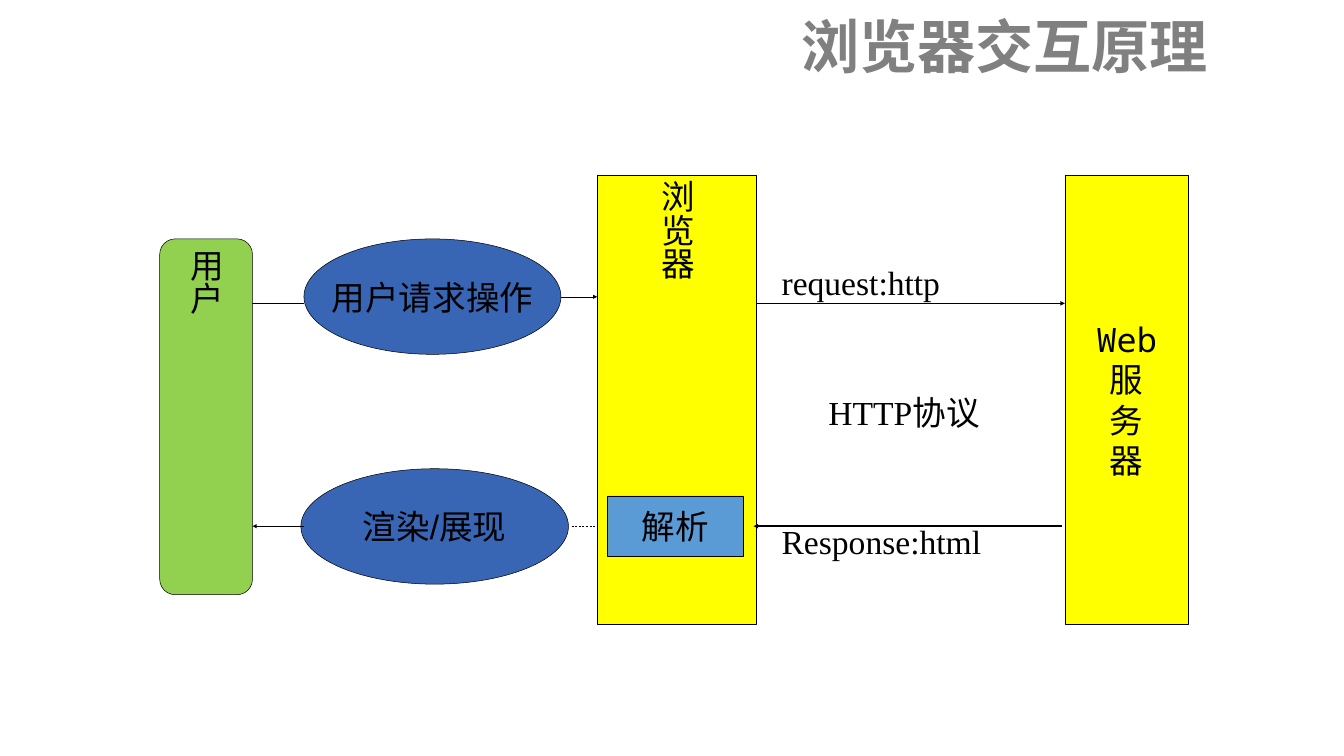
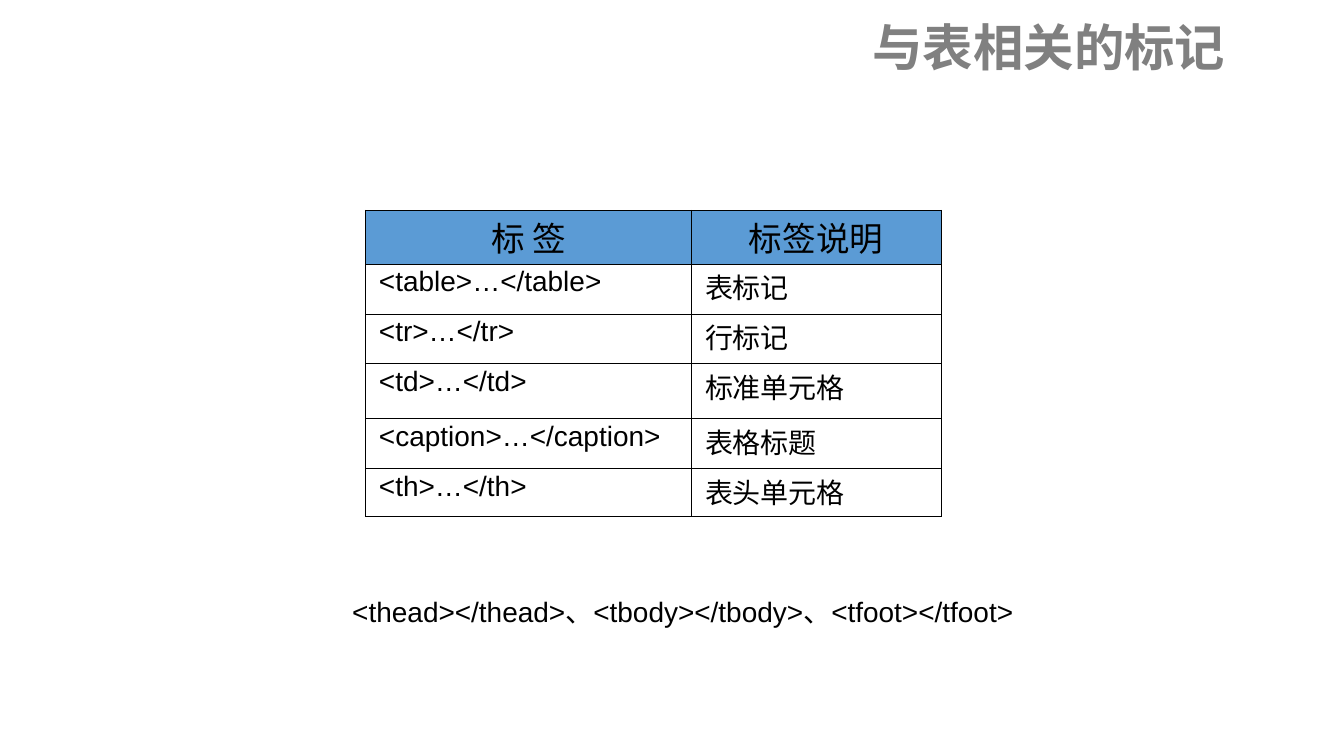
from lxml import etree
from pptx import Presentation
from pptx import util as u
from pptx.dml import color
from pptx.enum import dml, shapes, text
from pptx.oxml import ns

Pt = u.Pt
BLACK = color.RGBColor(0x00, 0x00, 0x00)
GRAY = color.RGBColor(0x80, 0x80, 0x80)
YELLOW = color.RGBColor(0xFF, 0xFF, 0x00)
GREEN = color.RGBColor(0x92, 0xD0, 0x50)
DEEP_BLUE = color.RGBColor(0x39, 0x65, 0xB5)
LIGHT_BLUE = color.RGBColor(0x5B, 0x9B, 0xD5)

SANS = "Arial"
SERIF = "Times New Roman"
MONO = "Noto Sans Mono"
CJK = "Noto Sans CJK SC"
CJK_TITLE = "Noto Sans CJK JP"

LEFT = text.PP_ALIGN.LEFT
CENTER = text.PP_ALIGN.CENTER
RIGHT = text.PP_ALIGN.RIGHT
RECT = shapes.MSO_SHAPE.RECTANGLE
OVAL = shapes.MSO_SHAPE.OVAL
ROUNDED = shapes.MSO_SHAPE.FLOWCHART_ALTERNATE_PROCESS

INSET_WIDE, INSET_NARROW = 7.2, 3.6
THIN, THICK = 0.45, 1.08


def add_element(parent, tag, **attributes):
    return etree.SubElement(parent, ns.qn(tag), attributes)


class Painter:
    def __init__(self, width, height):
        self.deck = Presentation()
        self.deck.slide_width, self.deck.slide_height = Pt(width), Pt(height)
        self.page = None

    def new_page(self, title, frame, size, font):
        self.page = self.deck.slides.add_slide(self.deck.slide_layouts[5])
        box = self.page.shapes.title
        box.left, box.top, box.width, box.height = map(Pt, frame)
        self.fill_text(box.text_frame, title, size, font, RIGHT, GRAY, True, (14.4, 7.2))
        box.text_frame.word_wrap = True
        box.text_frame.auto_size = text.MSO_AUTO_SIZE.NONE
        box.text_frame.vertical_anchor = text.MSO_ANCHOR.MIDDLE
        box.text_frame.paragraphs[0].line_spacing = 0.9

    def style(self, para, size, font, align, ink=BLACK, bold=False):
        para.alignment = align
        para.font.size, para.font.bold = Pt(size), bold
        para.font.color.rgb = ink
        para.font.name = font
        east_asian = font if font in (CJK, CJK_TITLE) else CJK
        defaults = para._p.pPr.find(ns.qn("a:defRPr"))
        add_element(defaults, "a:ea", typeface=east_asian)

    def fill_text(self, frame, words, size, font, align, ink=BLACK, bold=False,
                  insets=(INSET_WIDE, INSET_NARROW)):
        frame.margin_left = frame.margin_right = Pt(insets[0])
        frame.margin_top = frame.margin_bottom = Pt(insets[1])
        frame.word_wrap = False
        frame.text = words
        for para in frame.paragraphs:
            self.style(para, size, font, align, ink, bold)

    def block(self, kind, frame, words, fill, font=MONO, vertical=False):
        box = self.page.shapes.add_shape(kind, *map(Pt, frame))
        box.shadow.inherit = False
        box.fill.solid()
        box.fill.fore_color.rgb = fill
        box.line.color.rgb = BLACK
        box.line.width = Pt(0.75)
        insets = (INSET_NARROW, INSET_WIDE) if vertical else (INSET_WIDE, INSET_NARROW)
        self.fill_text(box.text_frame, words, 48, font, CENTER, insets=insets)
        box.text_frame.vertical_anchor = text.MSO_ANCHOR.MIDDLE
        if vertical:
            box.text_frame._txBody.bodyPr.set("vert", "eaVert")

    def label(self, frame, words, size, font):
        box = self.page.shapes.add_textbox(*map(Pt, frame))
        self.fill_text(box.text_frame, words, size, font, LEFT)
        box.text_frame.auto_size = text.MSO_AUTO_SIZE.SHAPE_TO_FIT_TEXT

    def line(self, start, end, y, width=0.75, arrow=True, dashed=False):
        link = self.page.shapes.add_connector(
            shapes.MSO_CONNECTOR.STRAIGHT, Pt(start), Pt(y), Pt(end), Pt(y))
        link.line.color.rgb = BLACK
        link.line.width = Pt(width)
        if dashed:
            link.line.dash_style = dml.MSO_LINE.DASH
        properties = link._element.spPr
        if arrow:
            add_element(properties.find(ns.qn("a:ln")), "a:tailEnd", type="triangle")
        add_element(properties, "a:effectLst")

    def border(self, cell, side, width):
        edge = add_element(cell._tc.get_or_add_tcPr(), f"a:ln{side}", w=str(Pt(width)))
        fill = add_element(edge, "a:solidFill")
        add_element(fill, "a:srgbClr", val=str(BLACK))

    def table(self, left, top, widths, heights, rows):
        frame = self.page.shapes.add_table(
            len(rows), len(widths), Pt(left), Pt(top), Pt(sum(widths)), Pt(sum(heights)))
        grid = frame.table
        grid.first_row = grid.horz_banding = False
        for column, width in zip(grid.columns, widths):
            column.width = Pt(width)
        for row, height in zip(grid.rows, heights):
            row.height = Pt(height)
        last_row, last_column = len(rows) - 1, len(widths) - 1
        for r, row in enumerate(rows):
            for c, words in enumerate(row):
                cell = grid.cell(r, c)
                cell.margin_left = cell.margin_right = Pt(19.4)
                cell.margin_top = cell.margin_bottom = Pt(INSET_NARROW)
                cell.text = words
                para = cell.text_frame.paragraphs[0]
                self.style(para, 40 if r else 48, SANS, LEFT if r else CENTER)
                outer = {"L": c == 0, "R": c == last_column, "T": r == 0, "B": r == last_row}
                for side, is_outer in outer.items():
                    self.border(cell, side, THICK if is_outer else THIN)
                if r:
                    cell.fill.background()
                else:
                    cell.fill.solid()
                    cell.fill.fore_color.rgb = LIGHT_BLUE


def browser_page(painter):
    painter.new_page("浏览器交互原理", (1108, 0, 632, 143.3), 83, CJK_TITLE)
    tower_top, tower_height = 249.8, 642.2
    browser_left, browser_right, server_left = 853.2, 1080.7, 1521.4
    user_right = 360.7
    request_y, response_y = 433.4, 751.7

    painter.block(RECT, (server_left, tower_top, 176.4, tower_height),
                  "Web\n服\n务\n器", YELLOW)
    painter.block(RECT, (browser_left, tower_top, browser_right - browser_left, tower_height),
                  "浏览器", YELLOW, vertical=True)
    painter.line(browser_right, server_left, request_y, 2.25)
    painter.line(1517.8, 1076.4, response_y, 2.25)
    painter.label((1109.5, 740.2, 299.5, 64.8), "Response:html", 48, SERIF)
    painter.label((1109.5, 370.1, 241.2, 64.8), "request:http", 48, SERIF)
    painter.label((1176.5, 556.6, 241.9, 64.8), "HTTP协议", 48, SERIF)
    painter.block(OVAL, (434.2, 341.3, 367.2, 164.9), "用户请求操作", DEEP_BLUE, SANS)
    painter.block(OVAL, (429.8, 669.6, 382.3, 164.9), "渲染/展现", DEEP_BLUE, SANS)
    painter.line(user_right, 434.2, request_y, arrow=False)
    painter.line(816.5, browser_left, response_y, arrow=False, dashed=True)
    painter.block(ROUNDED, (228.2, 341.3, 132.5, 508.3), "用户", GREEN, vertical=True)
    painter.line(801.4, browser_left, 424.1)
    painter.line(434.2, user_right, response_y)
    painter.block(RECT, (867.6, 708.5, 194.4, 86.4), "解析", LIGHT_BLUE)


def table_tags_page(painter):
    painter.new_page("与表相关的标记", (1124.6, 5.8, 640.1, 131.8), 72, CJK)
    meanings = {"table": "表标记", "tr": "行标记", "td": "标准单元格",
                "caption": "表格标题", "th": "表头单元格"}
    rows = [("标 签", "标签说明")]
    rows += [(f"<{tag}>…</{tag}>", meaning) for tag, meaning in meanings.items()]
    painter.table(522, 300.2, (465.8, 356.4), (72.7, 71.3, 71.3, 78.5, 71.3, 68.4), rows)
    sections = "、".join(f"<{tag}></{tag}>" for tag in ("thead", "tbody", "tfoot"))
    painter.label((496.1, 846, 997.2, 55.4), sections, 40, SANS)


def main():
    painter = Painter(1920, 1080)
    browser_page(painter)
    table_tags_page(painter)
    painter.deck.save("out.pptx")


if __name__ == "__main__":
    main()
